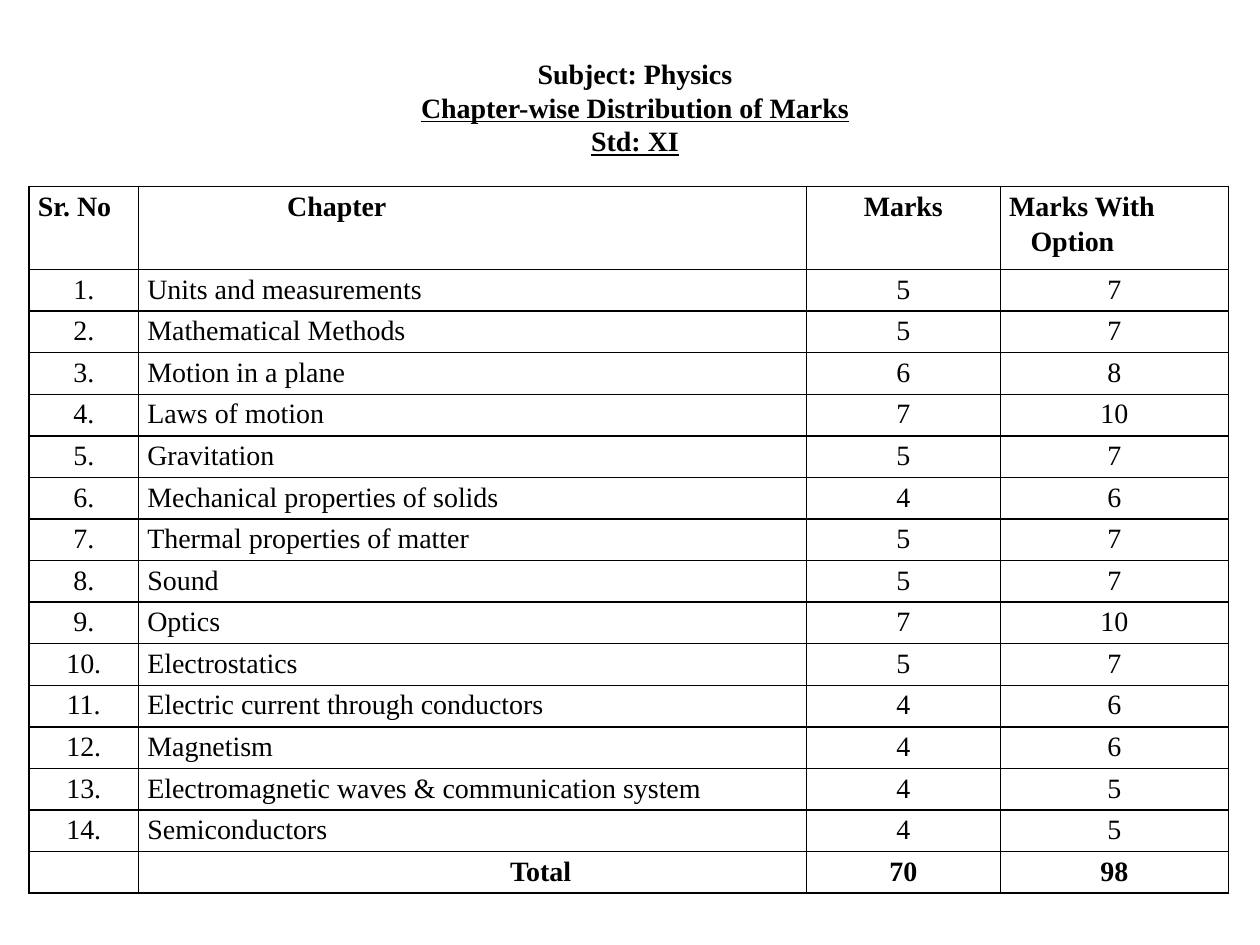
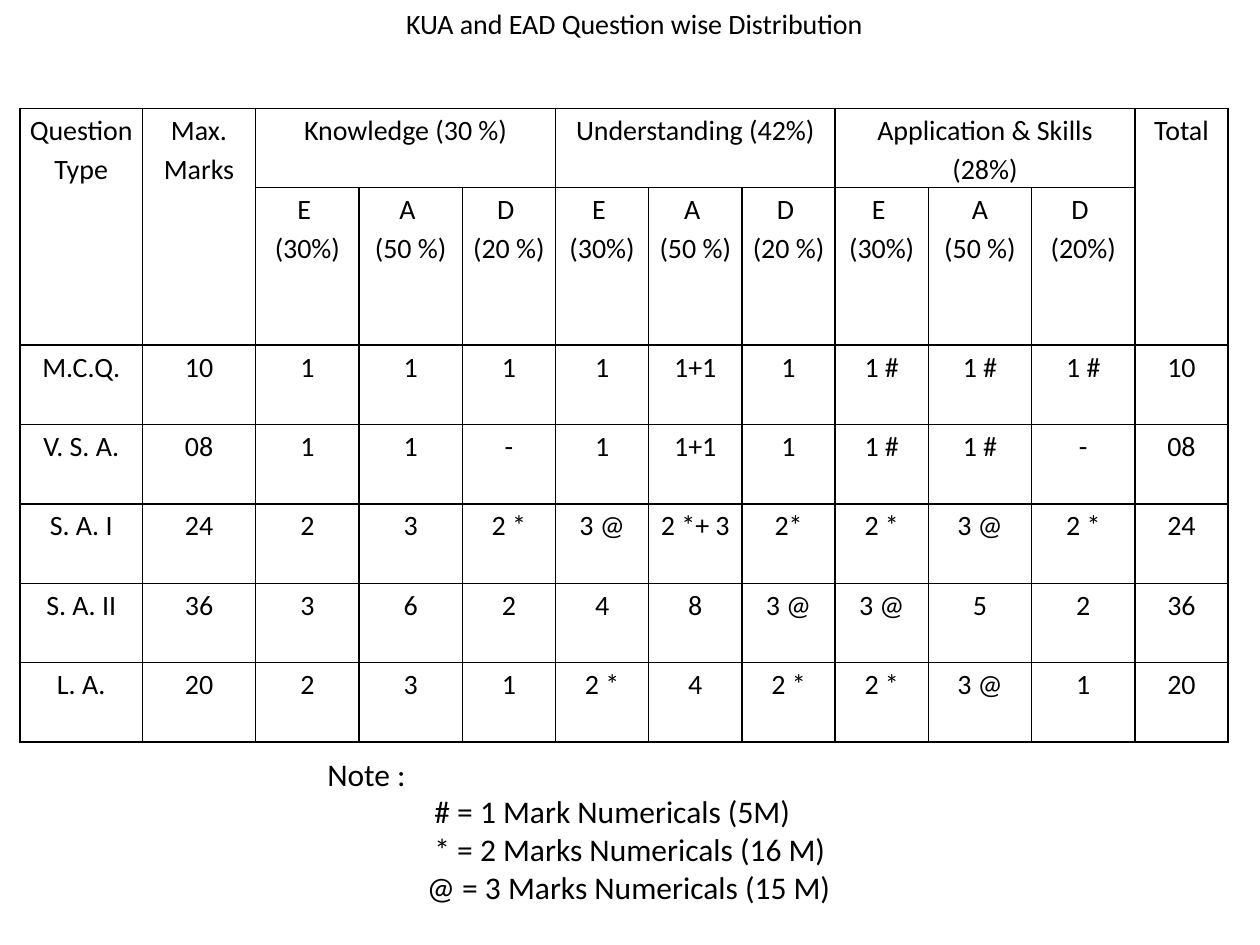
from lxml import etree
from pptx import Presentation
from pptx.dml.color import RGBColor
from pptx.enum.text import MSO_ANCHOR, PP_ALIGN
from pptx.oxml.ns import qn
from pptx.util import Inches, Pt

BLACK = "000000"
SERIF, SANS = "Times New Roman", "Calibri"
LEFT, CENTER = PP_ALIGN.LEFT, PP_ALIGN.CENTER

prs = Presentation()
prs.slide_width, prs.slide_height = Inches(10), Inches(7.5)
blank = prs.slide_layouts[6]


def write(frame, lines, font, size=16, align=CENTER, bold=False,
          spacing=None, indents=()):
    """Write one paragraph per line, each with an optional left indent in inches."""
    for i, line in enumerate(lines):
        para = frame.paragraphs[0] if i == 0 else frame.add_paragraph()
        para.alignment = align
        para.line_spacing = spacing
        if i < len(indents):
            para._p.get_or_add_pPr().set("marL", str(Inches(indents[i])))
        run = para.add_run()
        run.text = line
        run.font.name, run.font.size, run.font.bold = font, Pt(size), bold
        run.font.color.rgb = RGBColor.from_string(BLACK)


def add_grid(slide, left, top, widths, heights):
    """Add an unfilled table with thin black borders."""
    table = slide.shapes.add_table(
        len(heights), len(widths), Inches(left), Inches(top),
        Inches(sum(widths)), Inches(sum(heights))).table
    table.first_row = table.horz_banding = False
    for column, width in zip(table.columns, widths):
        column.width = Inches(width)
    for row, height in zip(table.rows, heights):
        row.height = Inches(height)
    for cell in table.iter_cells():
        cell.margin_left = cell.margin_right = Inches(0.07)
        cell.margin_top = cell.margin_bottom = 0
        props = cell._tc.get_or_add_tcPr()
        for side in ("a:lnL", "a:lnR", "a:lnT", "a:lnB"):
            line = etree.SubElement(props, qn(side), w=str(Pt(1)))
            fill = etree.SubElement(line, qn("a:solidFill"))
            etree.SubElement(fill, qn("a:srgbClr"), val=BLACK)
        cell.fill.background()
    return table


# Slide 1: marks per chapter
slide = prs.slides.add_slide(blank)
chapters = [
    ("Units and measurements", 5, 7),
    ("Mathematical Methods", 5, 7),
    ("Motion in a plane", 6, 8),
    ("Laws of motion", 7, 10),
    ("Gravitation", 5, 7),
    ("Mechanical properties of solids", 4, 6),
    ("Thermal properties of matter", 5, 7),
    ("Sound", 5, 7),
    ("Optics", 7, 10),
    ("Electrostatics", 5, 7),
    ("Electric current through conductors", 4, 6),
    ("Magnetism", 4, 6),
    ("Electromagnetic waves & communication system", 4, 5),
    ("Semiconductors", 4, 5),
]
table = add_grid(slide, 0.23, 1.48, [0.87, 5.3, 1.54, 1.81],
                 [0.66] + [0.33] * (len(chapters) + 1))

# Header row
headers = [(["Sr. No"], LEFT, ()), (["Chapter"], LEFT, (1.11,)),
           (["Marks"], CENTER, ()), (["Marks With", "Option"], LEFT, (0, 0.17))]
for c, (lines, align, indents) in enumerate(headers):
    write(table.cell(0, c).text_frame, lines, SERIF, align=align, bold=True,
          spacing=1.15, indents=indents)

# Chapter rows
for r, (chapter, marks, with_option) in enumerate(chapters, 1):
    for c, value in enumerate((f"{r}.", chapter, marks, with_option)):
        write(table.cell(r, c).text_frame, [str(value)], SERIF,
              align=LEFT if c == 1 else CENTER, spacing=1.15)

# Total row
last = len(chapters) + 1
write(table.cell(last, 1).text_frame, ["Total"], SERIF, align=LEFT, bold=True,
      spacing=1.15, indents=(2.88,))
for c in (2, 3):
    total = sum(chapter[c - 1] for chapter in chapters)
    write(table.cell(last, c).text_frame, [str(total)], SERIF, bold=True,
          spacing=1.15)

# Heading
heading = slide.shapes.add_textbox(
    Inches(1.64), Inches(0.39), Inches(6.8), Inches(1.21)).text_frame
heading.word_wrap = True
heading.vertical_anchor = MSO_ANCHOR.MIDDLE
heading.margin_bottom = Inches(0.34)
write(heading, ["Subject: Physics", "Chapter-wise Distribution of Marks", "Std: XI"],
      SERIF, bold=True)
for para in heading.paragraphs[1:]:
    para.runs[0].font.underline = True

# Slide 2: marks per question type
slide = prs.slides.add_slide(blank)
table = add_grid(slide, 0.16, 0.86,
                 [0.97, 0.9] + [0.82] * 2 + [0.74] * 5 + [0.82] * 2 + [0.74],
                 [0.63, 1.25] + [0.63] * 5)

# Merged headers: column, rows spanned, columns spanned, lines
merged = [
    (0, 2, 1, ["Question Type"]),
    (1, 2, 1, ["Max.", "Marks"]),
    (2, 1, 3, ["Knowledge (30 %)"]),
    (5, 1, 3, ["Understanding (42%)"]),
    (8, 1, 3, ["Application & Skills (28%)"]),
    (11, 2, 1, ["Total"]),
]
for c, rows, columns, lines in merged:
    cell = table.cell(0, c)
    cell.merge(table.cell(rows - 1, c + columns - 1))
    write(cell.text_frame, lines, SANS, spacing=1.15)

# Difficulty levels under each skill
levels = [("E ", "(30%)"), ("A ", "(50 %)"), ("D ", "(20 %)")] * 2
levels += [("E ", "(30%)"), ("A", "(50 %)"), ("D ", "(20%)")]
for c, lines in enumerate(levels, 2):
    write(table.cell(1, c).text_frame, lines, SANS, spacing=1.15)

# Question rows
questions = [
    "M.C.Q.|10|1|1|1|1|1+1|1|1 #|1 #|1 #|10",
    "V. S. A.|08|1|1|-|1|1+1|1|1 #|1 #|-|08",
    "S. A. I|24|2|3|2 *|3 @|2 *+ 3|2*|2 *|3 @|2 *|24",
    "S. A. II|36|3|6|2|4|8|3 @|3 @|5|2|36",
    "L. A.|20|2|3|1|2 *|4|2 *|2 *|3 @|1|20",
]
for r, question in enumerate(questions, 2):
    for c, value in enumerate(question.split("|")):
        write(table.cell(r, c).text_frame, [value], SANS, spacing=1.15)

# Title
title = slide.shapes.add_textbox(
    Inches(0.31), 0, Inches(9.45), Inches(0.37)).text_frame
title.word_wrap = True
title.vertical_anchor = MSO_ANCHOR.MIDDLE
write(title, ["KUA and EAD Question wise Distribution"], SANS)

# Key to the symbols
note = slide.shapes.add_textbox(
    Inches(2.5), Inches(5.94), Inches(5), Inches(1.31)).text_frame
note.word_wrap = True
write(note, ["Note :", "# = 1 Mark Numericals (5M)", "* = 2 Marks Numericals (16 M)",
             "@ = 3 Marks Numericals (15 M)"],
      SANS, size=18, align=LEFT, indents=(0, 0.85, 0.85, 0.79))

prs.save("out.pptx")
